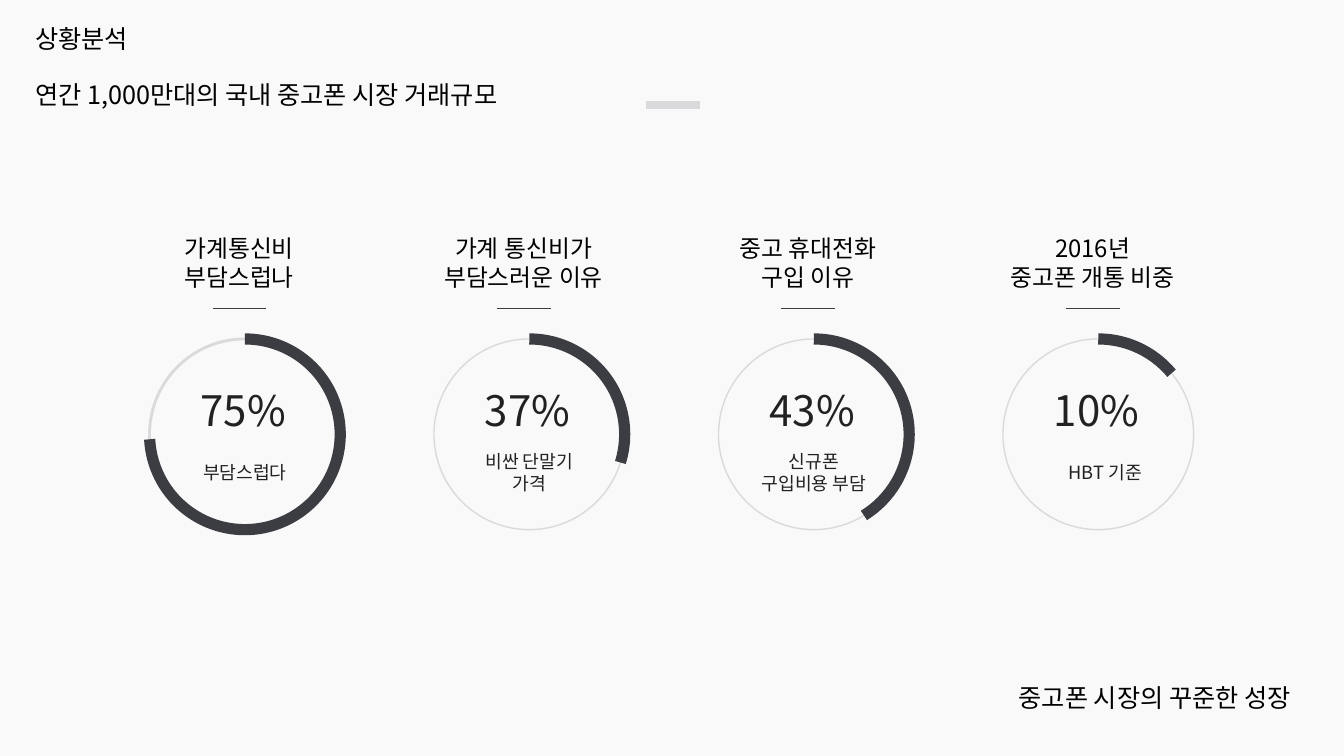
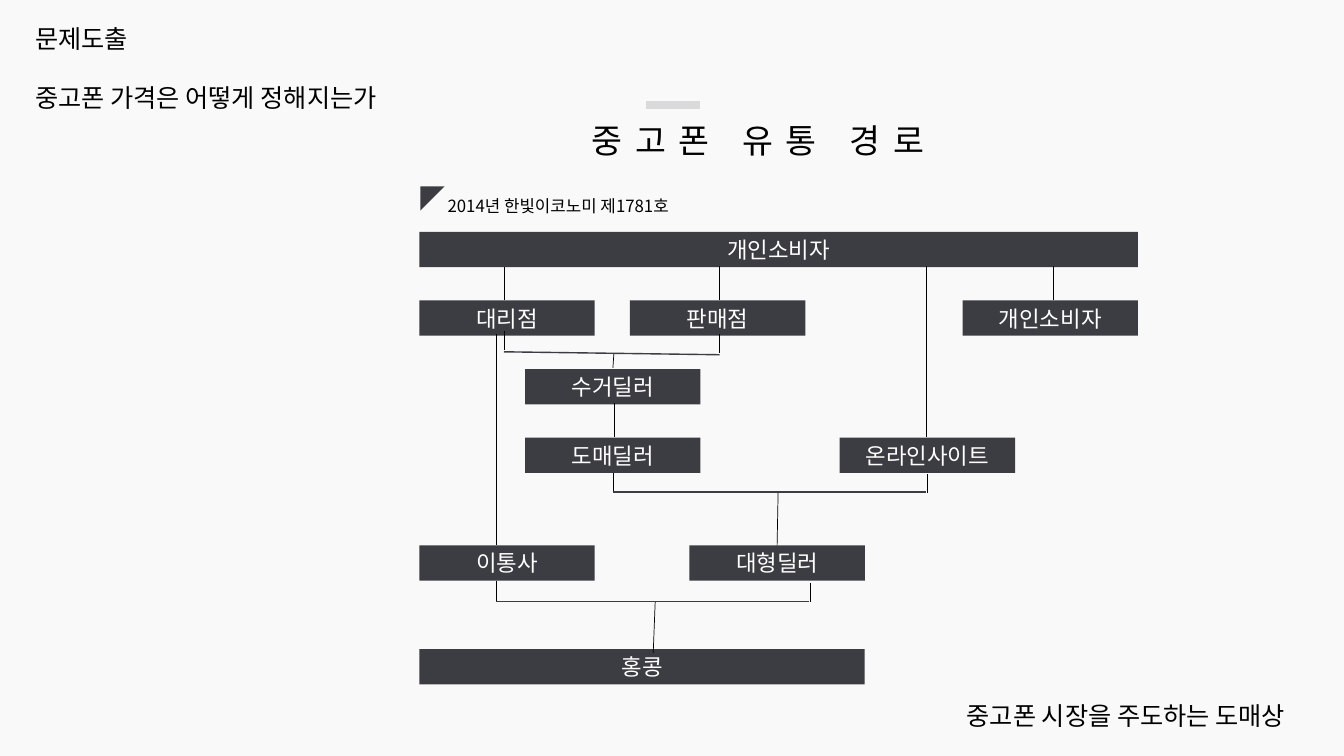
from dataclasses import dataclass

from pptx import Presentation
from pptx.dml.color import RGBColor
from pptx.enum.shapes import MSO_CONNECTOR, MSO_SHAPE
from pptx.enum.text import MSO_ANCHOR, PP_ALIGN
from pptx.oxml.ns import qn
from pptx.oxml.xmlchemy import OxmlElement
from pptx.util import Pt


@dataclass(frozen=True)
class Theme:
    font: str = "Noto Sans CJK KR"
    paper: RGBColor = RGBColor(0xF9, 0xF9, 0xF9)
    pale: RGBColor = RGBColor(0xDA, 0xD9, 0xDB)
    dark: RGBColor = RGBColor(0x3C, 0x3D, 0x42)
    ink: RGBColor = RGBColor(0x21, 0x21, 0x23)
    black: RGBColor = RGBColor(0, 0, 0)
    white: RGBColor = RGBColor(0xFF, 0xFF, 0xFF)
    huge: int = 30
    big: int = 24
    head: int = 18
    label: int = 17
    node: int = 16
    note: int = 13
    small: int = 12


look = Theme()


def write(box, lines, size, tone=look.black, align=PP_ALIGN.LEFT,
          pad=None, space=None, track=None):
    """Fill a box with one paragraph a line; a pad also centres it vertically."""
    frame = box.text_frame
    frame.word_wrap = True
    if pad is not None:
        frame.margin_left = frame.margin_right = Pt(pad)
        frame.margin_top = frame.margin_bottom = Pt(pad)
        frame.vertical_anchor = MSO_ANCHOR.MIDDLE
    for i, line in enumerate(lines):
        para = frame.add_paragraph() if i else frame.paragraphs[0]
        para.alignment = align
        if space:
            para.line_spacing = space
        run = para.add_run()
        run.text = line
        run.font.size = Pt(size)
        run.font.name = look.font
        run.font.color.rgb = tone
        props = run.font._element
        east = OxmlElement("a:ea")
        east.set("typeface", look.font)
        props.append(east)
        if track:
            props.set("spc", str(track * 100))


def wire(slide, x1, y1, x2, y2, tone=look.black, width=0.5):
    """Draw a straight line without a shadow."""
    link = slide.shapes.add_connector(
        MSO_CONNECTOR.STRAIGHT, Pt(x1), Pt(y1), Pt(x2), Pt(y2))
    link.line.color.rgb = tone
    link.line.width = Pt(width)
    link._element.spPr.append(OxmlElement("a:effectLst"))


deck = Presentation()
deck.slide_width, deck.slide_height = Pt(960), Pt(540)
back = deck.slide_master.background.fill
back.solid()
back.fore_color.rgb = look.paper

# Shared frame: accent bar, heading, subheading and closing line
# Each line of text: words, top, width, alignment, line spacing
left, right = PP_ALIGN.LEFT, PP_ALIGN.RIGHT
pages = [
    [("상황분석", 15.8, 828, left, 0.9),
     ("연간 1,000만대의 국내 중고폰 시장 거래규모", 53.3, 929, left, None),
     ("중고폰 시장의 꾸준한 성장", 486, 911, right, 0.9)],
    [("문제도출", 15.8, 828, left, 0.9),
     ("중고폰 가격은 어떻게 정해지는가", 57.6, 911, left, 0.9),
     ("중고폰 시장을 주도하는 도매상", 496.8, 907, right, None)],
]
slides = []
for page in pages:
    slide = deck.slides.add_slide(deck.slide_layouts[6])
    slides.append(slide)
    wire(slide, 461.5, 74.9, 499.7, 74.9, look.pale, 6)
    for words, top, width, align, space in page:
        box = slide.shapes.add_textbox(Pt(18), Pt(top), Pt(width), Pt(32))
        write(box, [words], look.head, align=align, space=space)
stats, flow = slides

# Four rings: title, share, caption, arc end in degrees, ring width, caption shift
rings = [
    (["가계통신비", "부담스럽나"], "75%", ["부담스럽다"], 177, 2, 0),
    (["가계 통신비가", "부담스러운 이유"], "37%", ["비싼 단말기 가격"], 17.2, 1, 0),
    (["중고 휴대전화", "구입 이유"], "43%", ["신규폰", "구입비용 부담"], 58.3, 1, 0),
    (["2016년", "중고폰 개통 비중"], "10%", ["HBT 기준"], 320.2, 1, 5),
]
size, pitch = 136.2, 203.2
for i, (title, share, text, end, width, shift) in enumerate(rings):
    x = 106.8 + pitch * i
    for kind, tone, weight in ((MSO_SHAPE.OVAL, look.pale, width),
                               (MSO_SHAPE.ARC, look.dark, 8)):
        ring = stats.shapes.add_shape(kind, Pt(x), Pt(242.1), Pt(size), Pt(size))
        ring.shadow.inherit = False
        ring.fill.background()
        ring.line.color.rgb = tone
        ring.line.width = Pt(weight)
    # Angles are stored in units of 0.6 per degree; 270 is twelve o'clock
    ring.adjustments[0] = 270 * 0.6
    ring.adjustments[1] = end * 0.6

    wire(stats, x + 45, 220.3, x + 83.5, 220.3, look.dark, 1)
    box = stats.shapes.add_textbox(Pt(x - 6), Pt(164.2), Pt(140), Pt(46.8))
    write(box, title, look.label, align=PP_ALIGN.CENTER, pad=2.9)
    box = stats.shapes.add_textbox(Pt(x + 34.2), Pt(272.2), Pt(73.4), Pt(40.3))
    write(box, [share], look.huge, look.ink, pad=2.2)
    box = stats.shapes.add_textbox(
        Pt(x + 22.6 + shift), Pt(319.7), Pt(91), Pt(35.3))
    write(box, text, look.note, look.ink, PP_ALIGN.CENTER, pad=2.2)

# Flow title and dated note
box = flow.shapes.add_textbox(Pt(419.8), Pt(82.8), Pt(260), Pt(34.6))
write(box, ["중고폰 유통 경로"], look.big, pad=2.9, track=9)
mark = flow.shapes.add_shape(
    MSO_SHAPE.RIGHT_TRIANGLE, Pt(300.2), Pt(133.2), Pt(17.3), Pt(17.3))
mark.rotation = 90
box = flow.shapes.add_textbox(Pt(317.5), Pt(130.3), Pt(336), Pt(26))
write(box, ["2014년 한빛이코노미 제1781호"], look.small, pad=2.2, space=1.5)

# Flow boxes: words, left, top, width
wide = 125.3
rows = [165.6 + 49 * i for i in range(4)] + [389.5, 463.7]
nodes = [
    ("개인소비자", 299.5, rows[0], 513.4),
    ("대리점", 299.5, rows[1], wide),
    ("판매점", 450, rows[1], wide),
    ("개인소비자", 687.6, rows[1], wide),
    ("수거딜러", 375.1, rows[2], wide),
    ("도매딜러", 375.1, rows[3], wide),
    ("온라인사이트", 599.8, rows[3], wide),
    ("이통사", 299.5, rows[4], wide),
    ("대형딜러", 492.5, rows[4], wide),
    ("홍콩", 299.5, rows[5], 318.2),
]
solid = [mark]
for words, x, y, width in nodes:
    node = flow.shapes.add_shape(
        MSO_SHAPE.RECTANGLE, Pt(x), Pt(y), Pt(width), Pt(25.2))
    write(node, [words], look.node, look.white, PP_ALIGN.CENTER, pad=2.9)
    solid.append(node)
for shape in solid:
    shape.shadow.inherit = False
    shape.fill.solid()
    shape.fill.fore_color.rgb = look.dark
    shape.line.fill.background()

# Thin links between boxes
links = [
    (661.7, 190, 661.7, 312.5), (360, 190.8, 360, 214.6),
    (514.1, 190, 514.1, 214), (752.4, 190, 752.4, 214),
    (360, 236.2, 360, 250), (514.1, 238.3, 514.1, 252),
    (438.5, 252.7, 437.8, 262.8), (438.5, 288, 438.5, 312.5),
    (437.8, 337.7, 437.8, 351.4), (662.4, 338.4, 662.4, 352.1),
    (354.2, 238.3, 354.2, 389.5), (354.2, 414.7, 354.2, 429.1),
    (578.9, 416.2, 578.9, 429.8), (555.8, 352.1, 555.1, 389.5),
    (468, 429.8, 466.6, 466.6),
]
for ends in links:
    wire(flow, *ends)

# Joining bars
bars = [(360, 251.3, 514.1, 253.4), (437.8, 351.4, 661.7, 351.4),
        (354.2, 429.8, 578.2, 429.8)]
for ends in bars:
    wire(flow, *ends, look.dark, 1)

deck.save("out.pptx")
